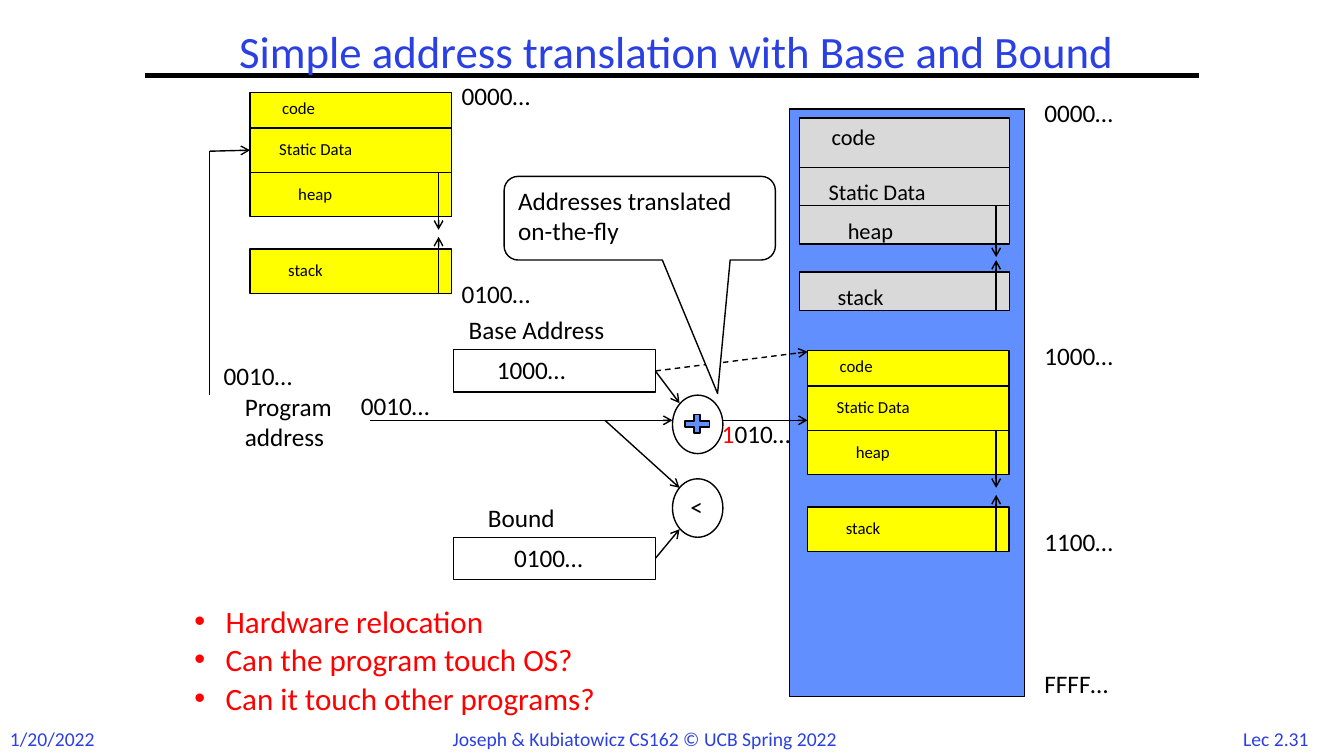
from dataclasses import dataclass

from lxml.etree import SubElement
from pptx import Presentation
from pptx.dml.color import RGBColor
from pptx.enum.dml import MSO_LINE
from pptx.enum.shapes import MSO_CONNECTOR, MSO_SHAPE as Geo
from pptx.enum.text import MSO_ANCHOR, MSO_AUTO_SIZE as Fit, PP_ALIGN as Align
from pptx.oxml.ns import qn
from pptx.util import Inches, Pt

BLACK, WHITE, BLUE, RED = "000000", "FFFFFF", "2A40E2", "FF0000"
SKY, GREY, YELLOW = "618FFD", "D9D9D9", "FFFF00"
RIGHT, LEFT = 3, 1


@dataclass
class Label:
    text: str
    x: float
    y: float
    w: float = 1.02
    size: float = 18
    color: str = BLACK
    align: Align = Align.LEFT
    lead: str = ""  # red text in front


@dataclass
class Box:
    x: float
    y: float
    w: float
    h: float
    fill: str | None = None
    geo: Geo = Geo.RECTANGLE


@dataclass
class Arrow:
    x1: float
    y1: float
    x2: float
    y2: float
    width: float = 1
    head: bool = True
    dash: bool = False


@dataclass
class Part:
    name: str
    dx: float
    w: float  # text width at 12 points


@dataclass
class Block:
    """Memory layout of one program."""
    x: float
    y: float
    w: float
    top: float  # height of the code row
    row: float  # height of the other rows
    gap: float  # between heap and stack
    fill: str
    size: float


PARTS = [Part("code", .22, .36), Part("Static Data", .19, .82),
         Part("heap", .38, .37), Part("stack", .28, .39)]
OLD = Block(7.93, 1.17, 2.08, .49, .38, .28, GREY, 16)
MOVED = Block(8.01, 3.48, 2, .35, .44, .32, YELLOW, 12)
VIRTUAL = Block(2.48, .92, 2, .35, .44, .32, YELLOW, 12)

LABELS = [
    Label("0000…", 10.26, .92), Label("FFFF…", 10.26, 6.58, 1.07),
    Label("1000…", 10.26, 3.33), Label("1100…", 10.26, 5.17, 1),
    Label("0000…", 4.48, .75), Label("0100…", 4.48, 2.71),
    Label("Program\naddress", 2.33, 3.83, 1.17),
    Label("Base Address", 4.55, 3.07, 1.76), Label("1000…", 4.83, 3.47),
    Label("Bound", 4.74, 4.93, 1.09), Label("0100…", 5, 5.33),
    Label("0010…", 2.12, 3.53), Label("0010…", 3.48, 3.82),
    Label("<", 6.75, 4.83, .35), Label("010…", 7.06, 4.1, lead="1"),
]
FOOT = [
    Label("1/20/2022", 0, 7.16, 1.07, 14, BLUE),
    Label("Joseph & Kubiatowicz CS162 © UCB Spring 2022", 4.39, 7.16, 4.55, 14, BLUE),
    Label("Lec 2.31", 12.17, 7.16, .97, 14, BLUE, Align.CENTER),
]
ASKS = ["Hardware relocation", "Can the program touch OS?", "Can it touch other programs?"]

deck = Presentation()
deck.slide_width, deck.slide_height = Inches(13.33), Inches(7.5)
shapes = deck.slides.add_slide(deck.slide_layouts[6]).shapes


def rgb(code: str) -> RGBColor:
    return RGBColor.from_string(code)


def add_run(para, text: str, size: float, color: str) -> None:
    run = para.add_run()
    run.text = text
    for key, value in {"name": "Calibri", "size": Pt(size)}.items():
        setattr(run.font, key, value)
    run.font.color.rgb = rgb(color)


def fill_text(frame, text: str, size: float, color: str, **style) -> list:
    """Write one paragraph per line of text and style each."""
    paras = []
    for i, line in enumerate(text.split("\n")):
        para = frame.add_paragraph() if i else frame.paragraphs[0]
        for key, value in style.items():
            setattr(para, key, value)
        add_run(para, line, size, color)
        paras.append(para)
    return paras


def add_label(label: Label) -> None:
    lines = label.text.count("\n") + 1
    high = label.size / 60 * lines + .1
    frame = shapes.add_textbox(*map(Inches, (label.x, label.y, label.w, high))).text_frame
    for key, value in {"word_wrap": False, "auto_size": Fit.SHAPE_TO_FIT_TEXT}.items():
        setattr(frame, key, value)
    if label.lead:
        add_run(frame.paragraphs[0], label.lead, label.size, RED)
    fill_text(frame, label.text, label.size, label.color, alignment=label.align)


def add_box(box: Box):
    shape = shapes.add_shape(box.geo, *map(Inches, (box.x, box.y, box.w, box.h)))
    shape.shadow.inherit = False
    if box.fill:
        shape.fill.solid()
        shape.fill.fore_color.rgb = rgb(box.fill)
    else:
        shape.fill.background()
    shape.line.color.rgb = rgb(BLACK)
    shape.line.width = Pt(1)
    return shape


def add_arrow(arrow: Arrow, start=None, end=None) -> None:
    """Draw a line, joined to start's right or end's left side if given."""
    ends = map(Inches, (arrow.x1, arrow.y1, arrow.x2, arrow.y2))
    link = shapes.add_connector(MSO_CONNECTOR.STRAIGHT, *ends)
    link.line.color.rgb = rgb(BLACK)
    link.line.width = Pt(arrow.width)
    if arrow.dash:
        link.line.dash_style = MSO_LINE.DASH
    if arrow.head:
        SubElement(link.line._get_or_add_ln(), qn("a:tailEnd"), type="arrow")
    SubElement(link._element.spPr, qn("a:effectLst"))
    if start:
        link.begin_connect(start, RIGHT)
    if end:
        link.end_connect(end, LEFT)


def add_block(block: Block) -> list:
    """Draw the rows, their names and the growth arrows; return the rows."""
    data = block.y + block.top
    heap = data + block.row
    stack = heap + block.row + block.gap
    rows = []
    for part, y in zip(PARTS, (block.y, data, heap, stack)):
        first = part.name == "code"
        rows.append(add_box(Box(block.x, y, block.w, block.top if first else block.row, block.fill)))
        wide = part.w * block.size / 12 + .2
        add_label(Label(part.name, block.x + part.dx, y if first else y + .06, wide, block.size))
    x = block.x + block.w - .13
    add_arrow(Arrow(x, stack + block.row, x, stack - .12))
    add_arrow(Arrow(x, heap, x, heap + block.row + .13))
    return rows


def add_title() -> None:
    frame = shapes.add_textbox(*map(Inches, (1.67, .25, 10.08, .58))).text_frame
    for key, value in {"word_wrap": True, "vertical_anchor": MSO_ANCHOR.MIDDLE}.items():
        setattr(frame, key, value)
    fill_text(frame, "Simple address translation with Base and Bound", 32, BLUE,
              alignment=Align.CENTER, line_spacing=.9)


def add_asks() -> None:
    frame = shapes.add_textbox(*map(Inches, (1.83, 6, 5.83, 1.25))).text_frame
    frame.word_wrap = True
    paras = fill_text(frame, "\n".join(ASKS), 22.2, RED, line_spacing=.8)
    for i, para in enumerate(paras):
        if i:
            para.space_before = Pt(6)
        props = para._p.get_or_add_pPr()
        props.set("marL", str(Inches(.31)))
        props.set("indent", str(Inches(-.31)))
        SubElement(props, qn("a:buFont"), typeface="Arial")
        SubElement(props, qn("a:buChar"), char="•")


def add_callout() -> None:
    note = add_box(Box(5, 1.75, 2.69, .83, WHITE, Geo.ROUNDED_RECTANGULAR_CALLOUT))
    for i, value in enumerate((.287, 2.095, .167)):
        note.adjustments[i] = value
    note.text_frame.vertical_anchor = MSO_ANCHOR.TOP
    fill_text(note.text_frame, "Addresses translated\non-the-fly", 18, BLACK, alignment=Align.LEFT)


def main() -> None:
    add_arrow(Arrow(1.44, .75, 11.89, .75, 3, head=False))
    add_title()
    add_box(Box(7.83, 1.08, 2.33, 5.83, SKY))
    add_block(OLD)
    add_block(MOVED)
    data = add_block(VIRTUAL)[1]
    base, bound = (add_box(Box(4.5, y, 2, .42)) for y in (3.47, 5.33))
    add_box(Box(6.75, 4.08, .33, .25, SKY, Geo.MATH_PLUS))
    for y in (3.92, 4.75):
        add_box(Box(6.67, y, .5, .58, geo=Geo.OVAL))
    add_arrow(Arrow(6.5, 3.68, 8.01, 3.49, dash=True), start=base)
    add_arrow(Arrow(6.5, 3.68, 6.74, 4), start=base)
    add_arrow(Arrow(6.5, 5.54, 6.74, 5.25), start=bound)
    add_arrow(Arrow(2.08, 1.5, 2.48, 1.49), end=data)
    add_arrow(Arrow(2.08, 1.5, 2.08, 3.92, head=False))
    add_arrow(Arrow(3.67, 4.17, 6.67, 4.17))
    add_arrow(Arrow(7.17, 4.17, 8.01, 4.17))
    add_arrow(Arrow(6, 4.17, 6.74, 4.84))
    add_callout()
    for label in LABELS + FOOT:
        add_label(label)
    add_asks()
    deck.save("out.pptx")


if __name__ == "__main__":
    main()
